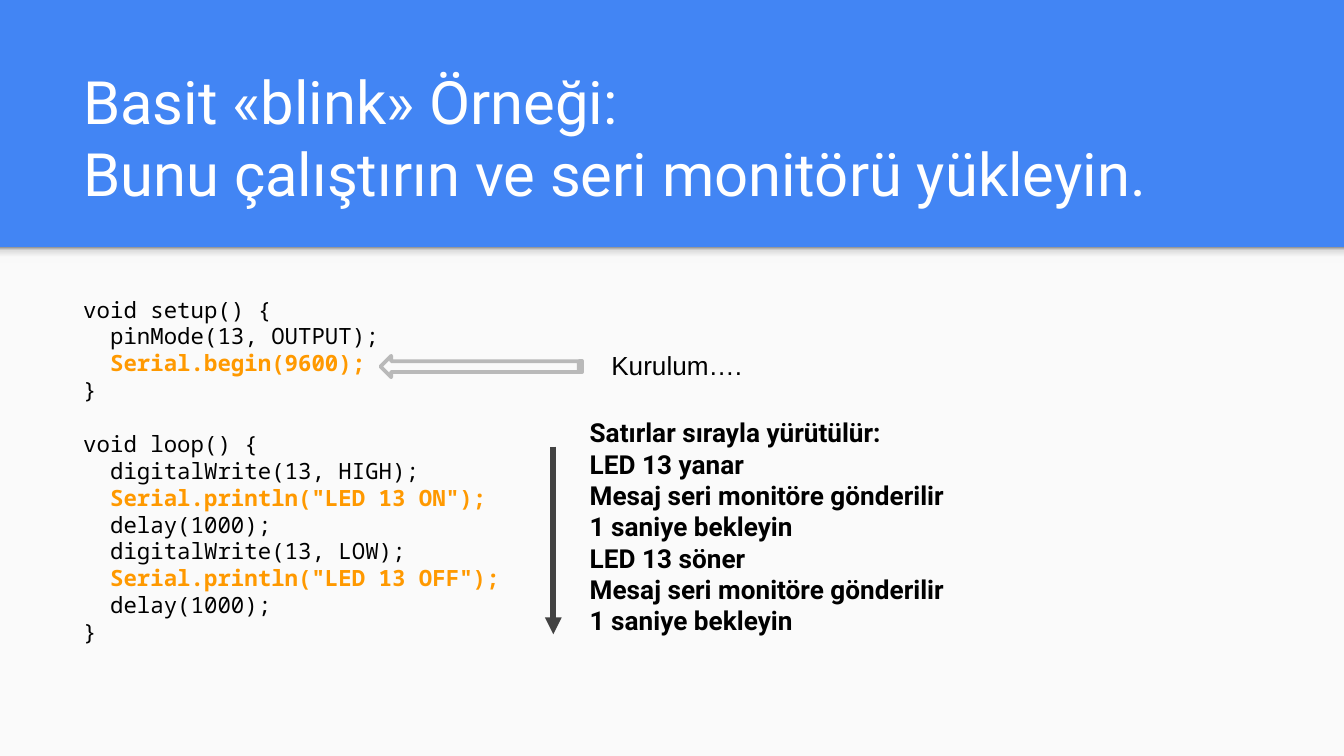
from dataclasses import dataclass

from lxml.etree import SubElement
from pptx import Presentation
from pptx.dml.color import RGBColor as Color
from pptx.enum.shapes import MSO_CONNECTOR as Connector, MSO_SHAPE as Shape
from pptx.enum.text import MSO_ANCHOR as Anchor, MSO_AUTO_SIZE as AutoSize, PP_ALIGN as Align
from pptx.oxml.ns import qn
from pptx.util import Pt

TITLE = "Basit «blink» Örneği:\vBunu çalıştırın ve seri monitörü yükleyin."
SETUP_CODE = [
    "void setup() {",
    "  pinMode(13, OUTPUT);",
    "  Serial.begin(9600);",
    "}",
]
LOOP_CODE = [
    "void loop() {",
    "  digitalWrite(13, HIGH);",
    '  Serial.println("LED 13 ON");',
    "  delay(1000);",
    "  digitalWrite(13, LOW);",
    '  Serial.println("LED 13 OFF");',
    "  delay(1000);",
    "}",
]
STEPS = [
    "Satırlar sırayla yürütülür:",
    "LED 13 yanar",
    "Mesaj seri monitöre gönderilir",
    "1 saniye bekleyin",
    "LED 13 söner",
    "Mesaj seri monitöre gönderilir",
    "1 saniye bekleyin",
]
SETUP_LABEL = "Kurulum…."


@dataclass(frozen=True)
class Theme:
    header: str = "4285F4"
    panel: str = "FAFAFA"
    title: str = "FFFFFF"
    text: str = "000000"
    highlight: str = "FF9900"
    flow: str = "424242"
    pointer: str = "B9B9B9"
    shadow: tuple = ((0, "F9F9F9"), (36, "F9F9F9"), (80, "DEDEDE"), (100, "999999"))
    heading_font: str = "Roboto"
    code_font: str = "Noto Sans Mono"
    label_font: str = "Arial"
    title_size: int = 32
    code_size: int = 12
    note_size: int = 14
    leading: float = 1.2


THEME = Theme()
WIDTH, HEIGHT = 720, 405
HEADER_HEIGHT = 132.5
MARGIN, CONTENT_WIDTH = 37.4, 647.3
INSET = 7.2


def place(shape, left, top, width, height):
    shape.left, shape.top, shape.width, shape.height = map(Pt, (left, top, width, height))


def prepare_frame(shape, anchor=Anchor.TOP, wrap=True):
    frame = shape.text_frame
    frame.auto_size = AutoSize.NONE
    frame.word_wrap = wrap
    frame.vertical_anchor = anchor
    frame.margin_left = frame.margin_right = Pt(INSET)
    frame.margin_top = frame.margin_bottom = Pt(INSET)
    return frame


def style(para, font, size, color, bold=False):
    para.alignment = Align.LEFT
    for span in para.runs:
        span.font.name = font
        span.font.size = Pt(size)
        span.font.bold = bold
        span.font.color.rgb = Color.from_string(color)


def remove_bullet(para):
    properties = para._p.get_or_add_pPr()
    properties.set("marL", "0")
    properties.set("indent", "0")
    SubElement(properties, qn("a:buNone"))


def add_filled(page, kind, left, top, width, height, color):
    shape = page.shapes.add_shape(kind, Pt(left), Pt(top), Pt(width), Pt(height))
    shape.shadow.inherit = False
    shape.fill.solid()
    shape.fill.fore_color.rgb = Color.from_string(color)
    shape.line.fill.background()
    return shape


def add_background(page):
    page.background.fill.solid()
    page.background.fill.fore_color.rgb = Color.from_string(THEME.header)
    panel = add_filled(page, Shape.RECTANGLE, 0, HEADER_HEIGHT, WIDTH, HEIGHT - HEADER_HEIGHT, THEME.panel)
    shadow = add_filled(page, Shape.RECTANGLE, 0, HEADER_HEIGHT, WIDTH, 8.6, THEME.panel)
    shadow.fill.gradient()
    shadow.fill.gradient_angle = 90
    stops = shadow._element.spPr.find(qn("a:gradFill")).find(qn("a:gsLst"))
    for stop in list(stops):
        stops.remove(stop)
    for percent, color in THEME.shadow:
        stop = SubElement(stops, qn("a:gs"), pos=str(percent * 1000))
        SubElement(stop, qn("a:srgbClr"), val=color)
    for depth, shape in enumerate((panel, shadow), start=2):
        page.shapes._spTree.insert(depth, shape._element)


def add_title(page):
    title = page.shapes.title
    place(title, MARGIN, 10, CONTENT_WIDTH, 108.8)
    frame = prepare_frame(title, Anchor.BOTTOM)
    frame.text = TITLE
    style(frame.paragraphs[0], THEME.heading_font, THEME.title_size, THEME.title)


def add_code(page):
    body = page.placeholders[1]
    place(body, MARGIN, 151.2, CONTENT_WIDTH, 213)
    frame = prepare_frame(body)
    frame.text = "\n".join(SETUP_CODE + LOOP_CODE)
    pitch = Pt(THEME.code_size * THEME.leading)
    for index, para in enumerate(frame.paragraphs):
        serial = "Serial." in para.text
        remove_bullet(para)
        para.line_spacing = pitch
        para.space_before = pitch if index == len(SETUP_CODE) else Pt(0)
        style(para, THEME.code_font, THEME.code_size, THEME.highlight if serial else THEME.text, serial)


def add_steps(page):
    box = page.shapes.add_textbox(Pt(308.8), Pt(216), Pt(375.9), Pt(148.2))
    frame = prepare_frame(box)
    frame.text = "\n".join(STEPS)
    for para in frame.paragraphs:
        para.line_spacing = Pt(THEME.note_size * THEME.leading)
        style(para, THEME.heading_font, THEME.note_size, THEME.text, True)


def add_flow_arrow(page):
    arrow = page.shapes.add_connector(Connector.STRAIGHT, Pt(296.4), Pt(239.3), Pt(296.4), Pt(339.8))
    arrow.line.width = Pt(3)
    arrow.line.color.rgb = Color.from_string(THEME.flow)
    SubElement(arrow.line._get_or_add_ln(), qn("a:tailEnd"), type="triangle")
    SubElement(arrow._element.spPr, qn("a:effectLst"))


def add_setup_pointer(page):
    pointer = add_filled(page, Shape.STRIPED_RIGHT_ARROW, 203.8, 190.6, 108, 11.5, THEME.panel)
    pointer.rotation = 180
    pointer.line.width = Pt(2)
    pointer.line.color.rgb = Color.from_string(THEME.pointer)
    box = page.shapes.add_textbox(Pt(320.4), Pt(183.9), Pt(85), Pt(24.2))
    frame = prepare_frame(box, wrap=False)
    frame.margin_top = frame.margin_bottom = Pt(3.6)
    frame.text = SETUP_LABEL
    frame.auto_size = AutoSize.SHAPE_TO_FIT_TEXT
    style(frame.paragraphs[0], THEME.label_font, THEME.note_size, THEME.text)


def main():
    deck = Presentation()
    deck.slide_width, deck.slide_height = Pt(WIDTH), Pt(HEIGHT)
    page = deck.slides.add_slide(deck.slide_layouts[1])
    add_background(page)
    add_title(page)
    add_code(page)
    add_flow_arrow(page)
    add_steps(page)
    add_setup_pointer(page)
    deck.save("out.pptx")


if __name__ == "__main__":
    main()
